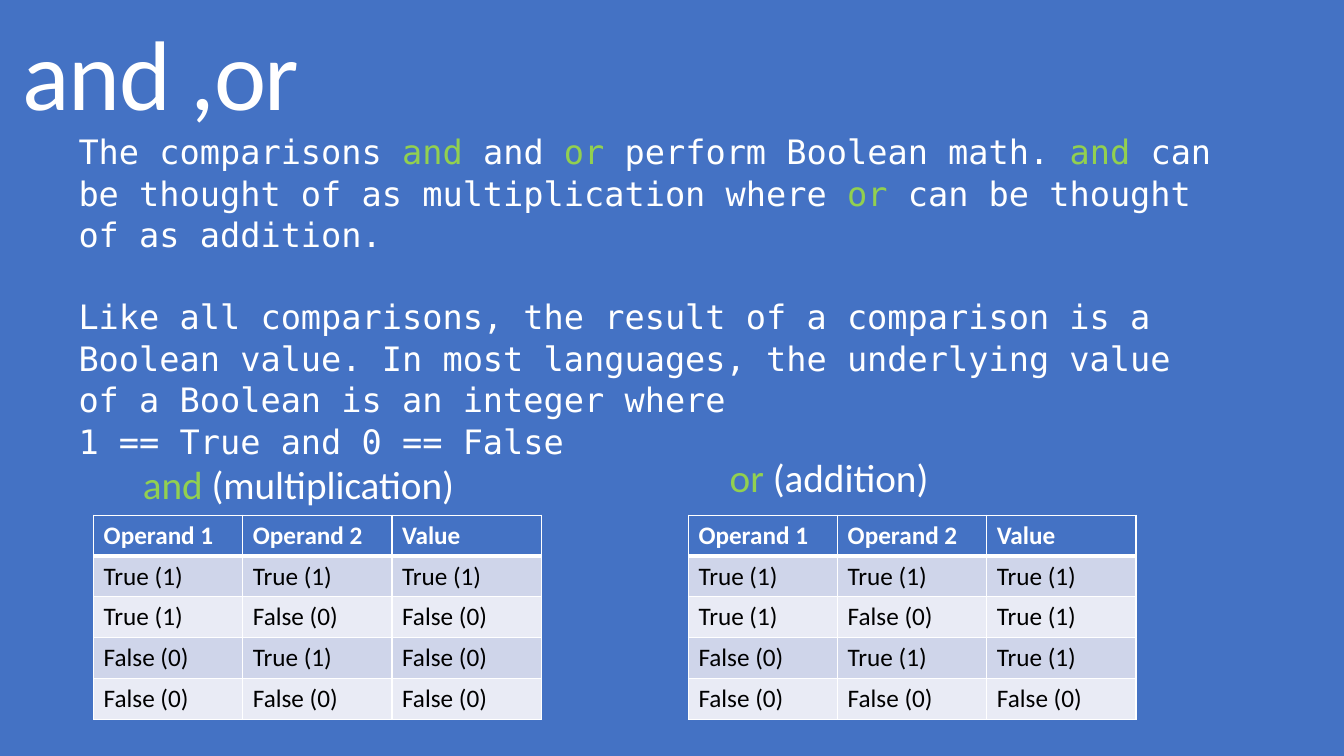
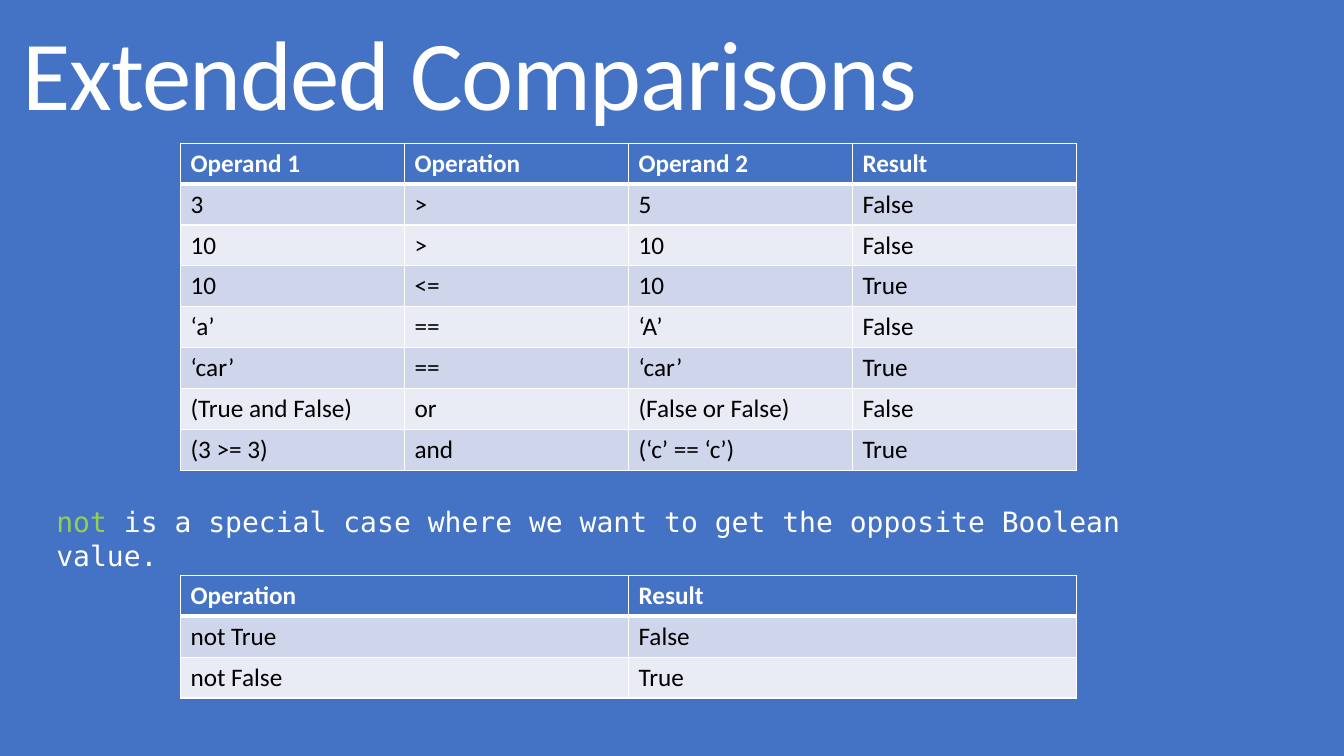
from dataclasses import dataclass
from itertools import product

from lxml import etree
from pptx import Presentation
from pptx.dml.color import RGBColor
from pptx.enum.text import MSO_ANCHOR, MSO_AUTO_SIZE
from pptx.oxml.ns import qn
from pptx.util import Cm, Pt

TOP = MSO_ANCHOR.TOP
NO_AUTOFIT = MSO_AUTO_SIZE.NONE


@dataclass(frozen=True)
class Theme:
    blue: str = "4472C4"
    white: str = "FFFFFF"
    black: str = "000000"
    green: str = "92D050"
    bands: tuple = ("CFD5EA", "E9EBF5")
    font: str = "Calibri"
    code_font: str = "DejaVu Sans Mono"
    title_size: float = 70.6
    body_size: int = 24
    note_size: int = 20
    label_size: int = 28
    table_size: int = 18
    thin_line: int = 1
    thick_line: int = 3
    row_height: float = 1.03


THEME = Theme()


def write_runs(paragraph, runs, size, font=THEME.font, bold=False, tracking=None):
    for text, color in runs:
        run = paragraph.add_run()
        run.text = text
        run.font.size = Pt(size)
        run.font.name = font
        run.font.bold = bold
        run.font.color.rgb = RGBColor.from_string(color)
        if tracking is not None:
            run.font._element.set("spc", str(tracking))


def add_text(slide, box, paragraphs, size, inset=0.13, line_spacing=None,
             gaps=None, **run_format):
    shape = slide.shapes.add_textbox(*(Cm(length) for length in box))
    frame = shape.text_frame
    frame.word_wrap = True
    frame.auto_size = NO_AUTOFIT
    frame.vertical_anchor = TOP
    frame.margin_top = frame.margin_bottom = Cm(inset)
    for index, runs in enumerate(paragraphs):
        paragraph = frame.add_paragraph() if index else frame.paragraphs[0]
        if line_spacing:
            paragraph.line_spacing = line_spacing
        if gaps:
            paragraph.space_before = Pt(gaps[index])
        write_runs(paragraph, runs, size, **run_format)


def add_code_text(slide, box, paragraphs, size, **text_format):
    add_text(slide, box, paragraphs, size, font=THEME.code_font,
             line_spacing=1.03, **text_format)


def set_borders(cell, top, bottom):
    properties = cell._tc.get_or_add_tcPr()
    widths = {"L": THEME.thin_line, "R": THEME.thin_line, "T": top, "B": bottom}
    for index, (side, width) in enumerate(widths.items()):
        line = etree.Element(qn(f"a:ln{side}"), w=str(Pt(width)))
        fill = etree.SubElement(line, qn("a:solidFill"))
        etree.SubElement(fill, qn("a:srgbClr"), val=THEME.white)
        properties.insert(index, line)


def add_table(slide, left, top, width, rows):
    column_count = len(rows[0])
    frame = slide.shapes.add_table(
        len(rows), column_count, Cm(left), Cm(top),
        Cm(width), Cm(THEME.row_height * len(rows)))
    table = frame.table
    for column in table.columns:
        column.width = Cm(width / column_count)
    for row_index, values in enumerate(rows):
        table.rows[row_index].height = Cm(THEME.row_height)
        is_header = row_index == 0
        fill = THEME.blue if is_header else THEME.bands[(row_index - 1) % 2]
        color = THEME.white if is_header else THEME.black
        top_line = THEME.thick_line if row_index == 1 else THEME.thin_line
        bottom_line = THEME.thick_line if is_header else THEME.thin_line
        for column_index, value in enumerate(values):
            cell = table.cell(row_index, column_index)
            cell.fill.solid()
            cell.fill.fore_color.rgb = RGBColor.from_string(fill)
            set_borders(cell, top_line, bottom_line)
            write_runs(cell.text_frame.paragraphs[0], [(value, color)],
                       THEME.table_size, bold=is_header)


def add_slide(presentation, title):
    slide = presentation.slides.add_slide(presentation.slide_layouts[6])
    slide.background.fill.solid()
    slide.background.fill.fore_color.rgb = RGBColor.from_string(THEME.blue)
    add_text(slide, (0.33, 0.38, 32.36, 3.23), [[(title, THEME.white)]],
             THEME.title_size, inset=0.25, line_spacing=0.9, tracking=-100)
    return slide


def truth_table(operation):
    rows = [("Operand 1", "Operand 2", "Value")]
    for first, second in product((True, False), repeat=2):
        values = (first, second, operation(first, second))
        rows.append(tuple(f"{value} ({int(value)})" for value in values))
    return rows


def build_and_or(presentation):
    slide = add_slide(presentation, "and ,or")
    white, green = THEME.white, THEME.green
    add_code_text(slide, (1.73, 3.15, 29.29, 10.01), [
        [("The comparisons ", white), ("and ", green), ("and ", white),
         ("or", green), (" perform Boolean math. ", white), ("and ", green),
         ("can be thought of as multiplication where ", white),
         ("or", green), (" can be thought of as addition.", white)],
        [("Like all comparisons, the result of a comparison is a Boolean value. "
          "In most languages, the underlying value of a Boolean is an integer "
          "where", white)],
        [("1 == True and 0 == False", white)],
    ], THEME.body_size, gaps=(0, 28.8, 0))
    add_table(slide, 2.36, 12.98, 11.28, truth_table(lambda a, b: a and b))
    add_table(slide, 17.35, 12.98, 11.28, truth_table(lambda a, b: a or b))
    for left, top, word, meaning in (
        (3.35, 11.48, "and", " (multiplication)"),
        (18.14, 11.3, "or", " (addition)"),
    ):
        add_text(slide, (left, top, 8.81, 3),
                 [[(word, green), (meaning, white)]], THEME.label_size)


def build_extended_comparisons(presentation):
    slide = add_slide(presentation, "Extended Comparisons")
    add_table(slide, 4.55, 3.61, 22.58, [
        ("Operand 1", "Operation", "Operand 2", "Result"),
        ("3", ">", "5", "False"),
        ("10", ">", "10", "False"),
        ("10", "<=", "10", "True"),
        ("‘a’", "==", "‘A’", "False"),
        ("‘car’", "==", "‘car’", "True"),
        ("(True and False)", "or", "(False or False)", "False"),
        ("(3 >= 3)", "and", "(‘c’ == ‘c’)", "True"),
    ])
    add_code_text(slide, (1.17, 12.55, 29.29, 2.64), [
        [("not ", THEME.green),
         ("is a special case where we want to get the opposite Boolean value.",
          THEME.white)],
    ], THEME.note_size)
    add_table(slide, 4.55, 14.5, 22.58, [
        ("Operation", "Result"),
        ("not True", "False"),
        ("not False", "True"),
    ])


def main():
    presentation = Presentation()
    presentation.slide_width = Cm(33.87)
    presentation.slide_height = Cm(19.05)
    build_and_or(presentation)
    build_extended_comparisons(presentation)
    presentation.save("out.pptx")


if __name__ == "__main__":
    main()
